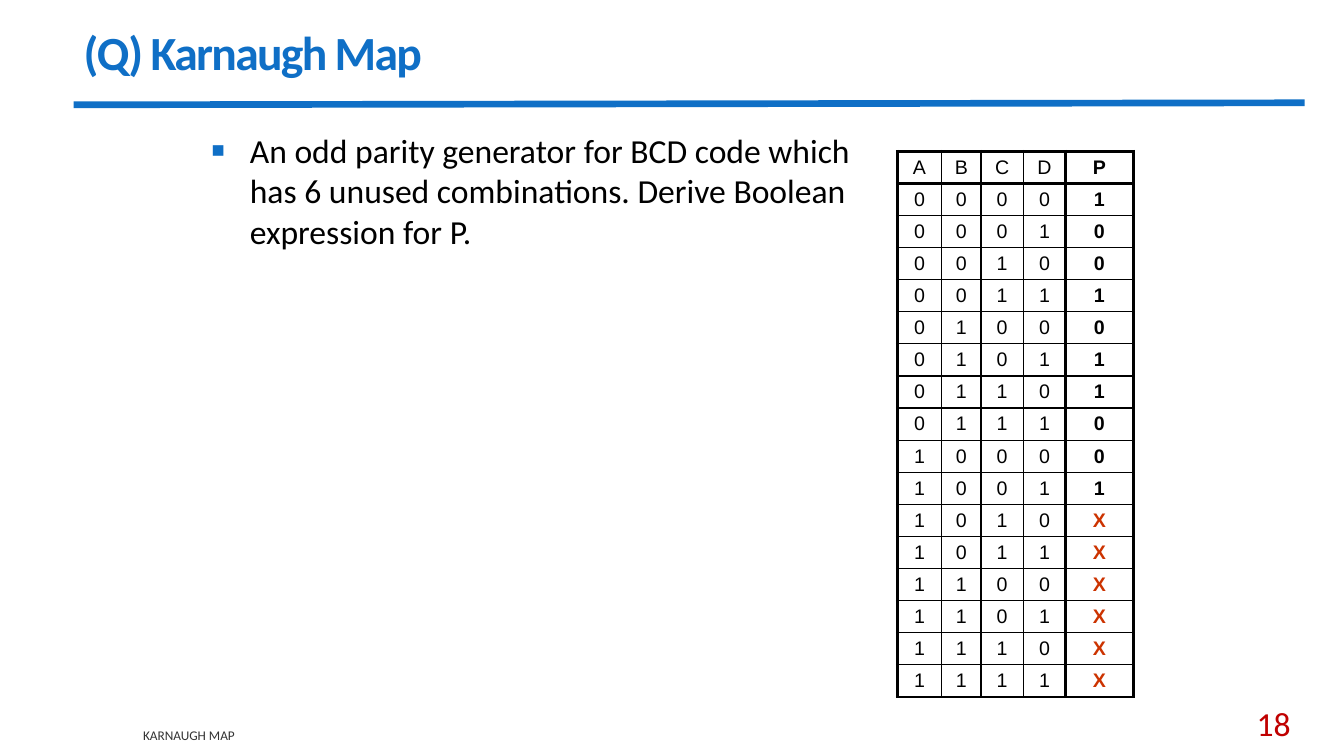
from dataclasses import dataclass
from itertools import product

from lxml.etree import SubElement
from pptx import Presentation
from pptx.dml.color import RGBColor as RGB
from pptx.enum.shapes import MSO_CONNECTOR as Connector
from pptx.enum.text import MSO_ANCHOR as Anchor, MSO_AUTO_SIZE as AutoSize, PP_ALIGN as Align
from pptx.oxml.ns import qn
from pptx.util import Inches, Pt


@dataclass(frozen=True)
class Theme:
    """Colours, fonts and point sizes of the slide."""
    blue: str = "0F6FC6"
    black: str = "000000"
    white: str = "FFFFFF"
    footer: str = "333333"
    number: str = "C00000"
    unused: str = "CC3300"
    text_font: str = "Calibri"
    table_font: str = "Arial"
    title_size: float = 34
    body_size: float = 24
    table_size: float = 14
    footer_size: float = 9.5
    rule_width: float = 4.75
    thick: float = 2.25
    thin: float = 1


THEME = Theme()


def style(paragraph, size, color, font=THEME.text_font, bold=False, align=Align.LEFT):
    """Set the font and alignment of a paragraph."""
    paragraph.alignment = align
    paragraph.font.name = font
    paragraph.font.size = Pt(size)
    paragraph.font.bold = bold
    paragraph.font.color.rgb = RGB.from_string(color)


def add_text(slide, box, text, anchor=Anchor.TOP):
    """Add a wrapped text box and return its paragraph."""
    frame = slide.shapes.add_textbox(*map(Inches, box)).text_frame
    frame.word_wrap = True
    frame.vertical_anchor = anchor
    frame.text = text
    return frame.paragraphs[0]


def add_heading(slide, box, text):
    """Fill the title placeholder and draw the rule under it."""
    left, top, width, height = box
    title = slide.shapes.title
    title.left, title.top, title.width, title.height = map(Inches, box)
    title.text_frame.text = text
    title.text_frame.auto_size = AutoSize.NONE
    title.text_frame.vertical_anchor = Anchor.MIDDLE
    heading = title.text_frame.paragraphs[0]
    heading.line_spacing = 0.85
    style(heading, THEME.title_size, THEME.blue, bold=True)
    heading._p.pPr.find(qn("a:defRPr")).set("spc", "-120")

    rule_y = top + height
    rule = slide.shapes.add_connector(
        Connector.STRAIGHT, Inches(left), Inches(rule_y + 0.02),
        Inches(left + 12.21), Inches(rule_y))
    rule.line.color.rgb = RGB.from_string(THEME.blue)
    rule.line.width = Pt(THEME.rule_width)
    SubElement(rule._element.spPr, qn("a:effectLst"))


def add_question(slide, box, text):
    """Add the question as a paragraph with a square bullet."""
    question = add_text(slide, box, text)
    props = question._p.get_or_add_pPr()
    props.set("marL", str(Inches(0.38)))
    props.set("indent", str(-Inches(0.38)))
    SubElement(SubElement(props, qn("a:buClr")), qn("a:srgbClr"), val=THEME.blue)
    SubElement(props, qn("a:buSzPct"), val="65000")
    SubElement(props, qn("a:buFont"), typeface=THEME.table_font)
    SubElement(props, qn("a:buChar"), char="■")
    style(question, THEME.body_size, THEME.black)


def parity_rows():
    """Return the header and the odd parity bit of every BCD code."""
    rows = [list("ABCDP")]
    for code, bits in enumerate(product((0, 1), repeat=4)):
        parity = "X" if code > 9 else 1 - sum(bits) % 2
        rows.append([str(value) for value in (*bits, parity)])
    return rows


def set_borders(cell, widths):
    """Draw the four borders of a cell in the given widths."""
    props = cell._tc.get_or_add_tcPr()
    for place, (side, width) in enumerate(zip(("lnL", "lnR", "lnT", "lnB"), widths)):
        line = SubElement(props, qn(f"a:{side}"), w=str(Pt(width)))
        SubElement(SubElement(line, qn("a:solidFill")), qn("a:srgbClr"), val=THEME.black)
        props.insert(place, line)


def add_truth_table(slide, box, column_widths):
    """Add the truth table with a thick frame, header and output column."""
    rows = parity_rows()
    last_row, output = len(rows) - 1, len(column_widths) - 1
    table = slide.shapes.add_table(
        len(rows), len(column_widths), *map(Inches, box)).table
    table.first_row = table.horz_banding = False
    for column, width in zip(table.columns, column_widths):
        column.width = Inches(width)
    for r, values in enumerate(rows):
        table.rows[r].height = Inches(box[3] / len(rows))
        for c, value in enumerate(values):
            cell = table.cell(r, c)
            cell.text = value
            cell.vertical_anchor = Anchor.MIDDLE
            cell.margin_top = cell.margin_bottom = Inches(0.03)
            cell.fill.solid()
            cell.fill.fore_color.rgb = RGB.from_string(THEME.white)
            style(cell.text_frame.paragraphs[0], THEME.table_size,
                  THEME.unused if value == "X" else THEME.black,
                  THEME.table_font, c == output, Align.CENTER)
            heavy = (c in (0, output), c >= output - 1, r < 2, r in (0, last_row))
            set_borders(cell, [THEME.thick if edge else THEME.thin for edge in heavy])


def add_footer(slide, box, text, number):
    """Add the footer text at the left and the slide number at the right."""
    left, top, width, height = box
    footer = add_text(slide, (left, top + 0.17, 7.52, 0.25), text, Anchor.MIDDLE)
    style(footer, THEME.footer_size, THEME.footer)
    page = add_text(slide, (left + width - 1.3, top, 1.3, height), number, Anchor.BOTTOM)
    style(page, THEME.body_size, THEME.number, align=Align.RIGHT)


def build_slide(deck):
    """Build the Karnaugh map question slide."""
    slide = deck.slides.add_slide(deck.slide_layouts[5])
    add_heading(slide, (0.73, 0.08, 11.78, 0.94), "(Q) Karnaugh Map")
    add_question(slide, (2, 1.24, 6.83, 2.51),
                 "An odd parity generator for BCD code which has 6 unused "
                 "combinations. Derive Boolean expression for P.")
    add_truth_table(slide, (8.9, 1.5, 2.34, 5.42), (0.44, 0.39, 0.42, 0.42, 0.67))
    add_footer(slide, (1.32, 7, 11.58, 0.42), "KARNAUGH MAP", "18")


deck = Presentation()
deck.slide_width, deck.slide_height = Inches(13.33), Inches(7.5)
build_slide(deck)
deck.save("out.pptx")
